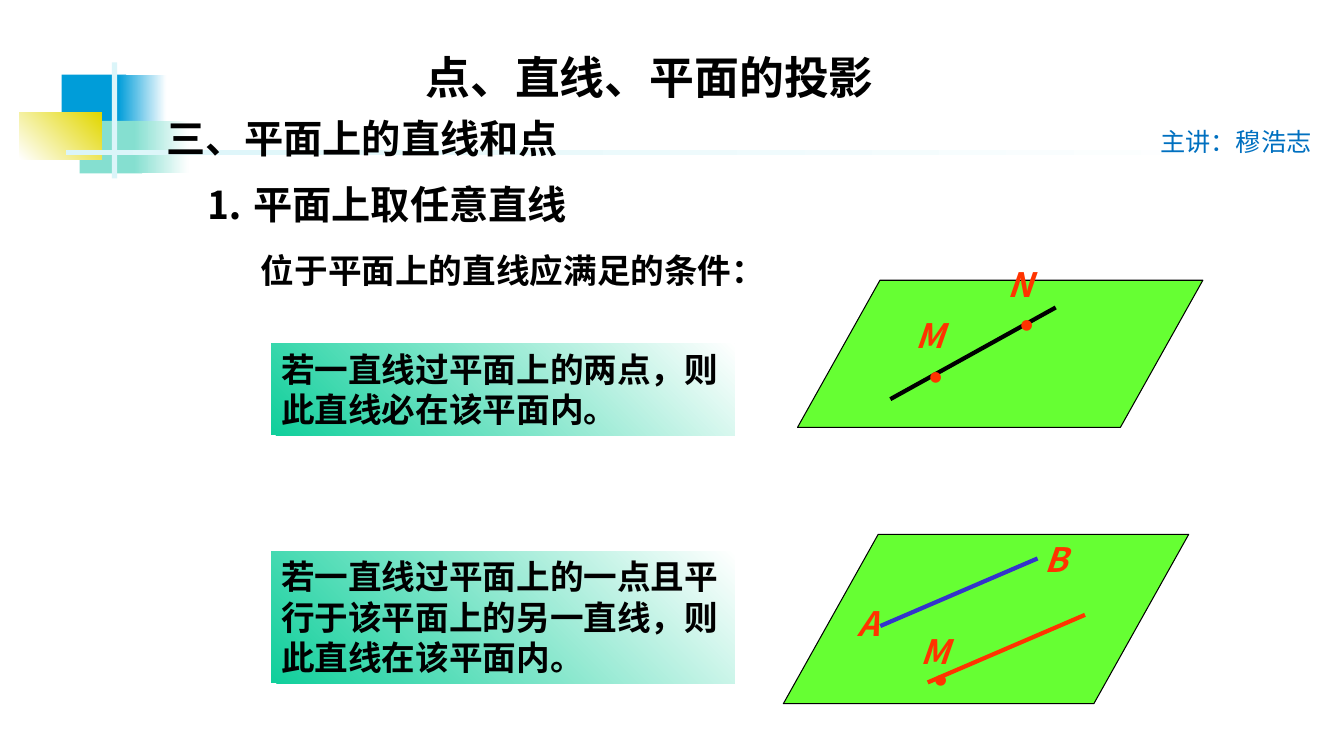
from dataclasses import dataclass

from lxml import etree
from pptx import Presentation
from pptx import util as u
from pptx.dml.color import RGBColor
from pptx.enum import shapes, text
from pptx.oxml import ns, parse_xml


@dataclass(frozen=True)
class Theme:
    sans: str = "Noto Sans CJK SC"
    serif: str = "Times New Roman"
    symbol: str = "Cambria"
    ink: str = "000000"
    paper: str = "FFFFFF"
    blue: str = "009DD9"
    teal: str = "85DFD0"
    yellow: str = "E2D700"
    pale: str = "DBF5F9"
    lecturer: str = "0070C0"
    rule: str = "10CF9B"
    plane: str = "66FF33"
    mark: str = "FF3300"
    given_line: str = "3333CC"
    title_size: int = 32
    heading_size: int = 28
    body_size: int = 24
    lecturer_size: int = 18
    dot_size: int = 10
    edge: float = 0.75
    stroke: float = 3


T = Theme()
RADIAL = '<a:path path="circle"><a:fillToRect l="100000" b="100000"/></a:path>'


@dataclass(frozen=True)
class Box:
    left: int
    top: int
    width: int
    height: int

    def point(self, x, y):
        return (int(self.left + self.width * x / 100),
                int(self.top + self.height * y / 100))

    def area(self, x, y, w, h):
        return Box(*self.point(x, y), int(self.width * w / 100),
                   int(self.height * h / 100))

    def rect(self):
        return self.left, self.top, self.width, self.height


def rgb(color):
    return RGBColor.from_string(color)


def linear(angle):
    return f'<a:lin ang="{angle * 60000}" scaled="0"/>'


def write(sp, words, size=T.body_size, font=T.serif, color=T.ink, bold=True,
          italic=False, align=text.PP_ALIGN.LEFT, anchor=text.MSO_ANCHOR.TOP,
          wrap=True, inset=None):
    tf = sp.text_frame
    tf.auto_size = text.MSO_AUTO_SIZE.NONE
    tf.word_wrap = wrap
    tf.vertical_anchor = anchor
    if inset is not None:
        tf.margin_left = tf.margin_right = inset
        tf.margin_top = tf.margin_bottom = inset
    p = tf.paragraphs[0]
    p.alignment = align
    r = p.add_run()
    r.text = words
    r.font.size = u.Pt(size)
    r.font.name = font
    r.font.bold = bold
    r.font.italic = italic
    r.font.color.rgb = rgb(color)
    ea = etree.SubElement(r.font._element, ns.qn("a:ea"))
    ea.set("typeface", T.sans)


def add_text(parent, box, words, **fmt):
    write(parent.add_textbox(*box.rect()), words, **fmt)


def add_block(parent, box, color, kind=shapes.MSO_SHAPE.RECTANGLE):
    sp = parent.add_shape(kind, *box.rect())
    sp.shadow.inherit = False
    sp.fill.solid()
    sp.fill.fore_color.rgb = rgb(color)
    sp.line.fill.background()
    return sp


def add_gradient(parent, box, start, end, direction):
    sp = add_block(parent, box, start)
    stops = "".join(f'<a:gs pos="{pos}"><a:srgbClr val="{c}"/></a:gs>'
                    for pos, c in ((0, start), (100000, end)))
    grad = parse_xml(f'<a:gradFill {ns.nsdecls("a")} rotWithShape="1">'
                     f'<a:gsLst>{stops}</a:gsLst>{direction}</a:gradFill>')
    pr = sp._element.spPr
    pr.replace(pr.find(ns.qn("a:solidFill")), grad)
    return sp


def add_line(parent, box, start, end, color):
    ln = parent.add_connector(shapes.MSO_CONNECTOR.STRAIGHT,
                              *box.point(*start), *box.point(*end))
    ln.line.color.rgb = rgb(color)
    ln.line.width = u.Pt(T.stroke)
    etree.SubElement(ln._element.spPr, ns.qn("a:effectLst"))


def draw_motif(parent, box):
    for x, y, solid_w, fade_x, fade_w, color in (
            (4.58, 9.87, 4.8, 8.78, 3.6, T.blue),
            (5.93, 16, 4.65, 9.98, 4.05, T.teal)):
        add_block(parent, box.area(x, y, solid_w, 6.93), color)
        add_gradient(parent, box.area(fade_x, y, fade_w, 6.93),
                     color, T.paper, linear(0))
    add_gradient(parent, box.area(1.43, 14.93, 6.15, 6.13),
                 T.paper, T.yellow, linear(315))
    add_block(parent, box.area(8.33, 8.27, 0.38, 15.33), T.pale)
    add_gradient(parent, box.area(4.88, 19.87, 90, 0.67),
                 T.pale, T.paper, linear(0))
    add_text(parent, box.area(85.6, 16, 13.65, 5.33), "主讲：穆浩志",
             size=T.lecturer_size, font=T.sans, color=T.lecturer, bold=False)


def draw_headings(slide, box):
    title = slide.shapes.title
    title.left, title.top, title.width, title.height = box.area(
        25.5, 5.87, 45.7, 8.4).rect()
    middle = text.MSO_ANCHOR.MIDDLE
    write(title, "点、直线、平面的投影", size=T.title_size, font=T.sans,
          align=text.PP_ALIGN.CENTER, anchor=middle)
    for place, words, size, font in (
            ((11.63, 14.4, 31.13, 7.6), "三、平面上的直线和点",
             T.heading_size, T.serif),
            ((14.55, 23.2, 29.63, 7.6), "⒈ 平面上取任意直线",
             T.heading_size, T.sans),
            ((18.68, 32.4, 39.6, 6.67), "位于平面上的直线应满足的条件：",
             T.body_size, T.serif)):
        add_text(slide.shapes, box.area(*place), words, size=size, font=font,
                 anchor=middle, wrap=False)


def draw_rule(parent, box, words):
    write(add_gradient(parent, box, T.paper, T.rule, RADIAL), words)


def draw_plane(parent, box, lines, dots, labels):
    group = parent.add_group_shape().shapes
    sp = add_block(group, box, T.plane, shapes.MSO_SHAPE.PARALLELOGRAM)
    sp.adjustments[0] = 0.56
    sp.line.color.rgb = rgb(T.ink)
    sp.line.width = u.Pt(T.edge)
    for start, end, color in lines:
        add_line(group, box, start, end, color)
    for x, y in dots:
        add_text(group, box.area(x - 4, y - 8, 8, 16), "●", size=T.dot_size,
                 font=T.symbol, color=T.mark, bold=False, wrap=False, inset=0,
                 align=text.PP_ALIGN.CENTER, anchor=text.MSO_ANCHOR.MIDDLE)
    for name, x, y in labels:
        add_text(group, box.area(x, y, 9.5, 30), name, font=T.sans,
                 color=T.mark, italic=True, wrap=False)


def build_slide(prs):
    slide = prs.slides.add_slide(prs.slide_layouts[5])
    page = Box(0, 0, prs.slide_width, prs.slide_height)
    sp = slide.shapes
    draw_motif(sp, page)
    draw_headings(slide, page)
    draw_plane(sp, page.area(59.34, 37.07, 30.16, 19.47),
               lines=[((22.9, 80.8), (63.7, 18.5), T.ink)],
               dots=[(56.5, 29.5), (34.1, 65.1)],
               labels=[("M", 26.6, 20.5), ("N", 49.3, -14.4)])
    draw_plane(sp, page.area(58.29, 70.67, 30.16, 22.4),
               lines=[((23.9, 54.2), (62.7, 14.3), T.given_line),
                      ((35.6, 87.5), (74.4, 47.6), T.mark)],
               dots=[(38.8, 85.1)],
               labels=[("A", 15.9, 37.5), ("B", 61.9, 0), ("M", 31.3, 54.2)])
    draw_rule(sp, page.area(20.18, 45.47, 34.5, 12.13),
              "若一直线过平面上的两点，则此直线必在该平面内。")
    draw_rule(sp, page.area(20.18, 72.93, 34.5, 17.47),
              "若一直线过平面上的一点且平行于该平面上的另一直线，则此直线在该平面内。")


def main():
    prs = Presentation()
    prs.slide_width = u.Inches(13.33)
    prs.slide_height = u.Inches(7.5)
    build_slide(prs)
    prs.save("out.pptx")


if __name__ == "__main__":
    main()
